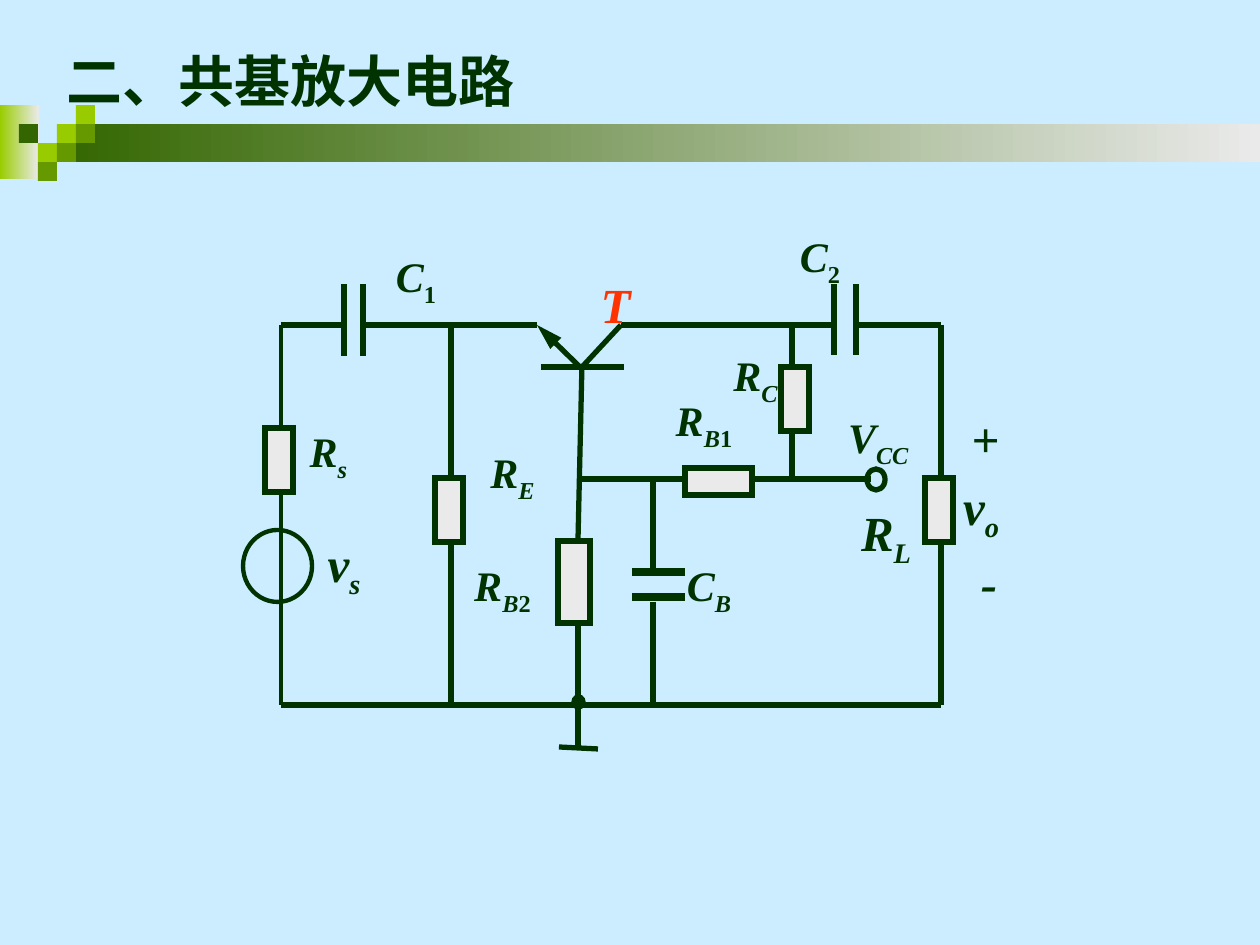
from dataclasses import dataclass
from typing import NamedTuple

from lxml.etree import SubElement
from pptx import Presentation
from pptx.dml.color import RGBColor
from pptx.enum.shapes import MSO_CONNECTOR, MSO_SHAPE
from pptx.enum.text import MSO_ANCHOR, MSO_AUTO_SIZE, PP_ALIGN
from pptx.oxml.ns import qn
from pptx.util import Emu, Pt

PX_PER_INCH = 126
FONT = "Times New Roman"
INK, RED, GRAY, SKY = "003300", "FF3300", "EAEAEA", "CCECFF"
LIME, GREEN, FOREST = "99CC00", "669900", "336600"
LEFT, RIGHT, TOP, BASE, BOTTOM = 281, 941, 325, 479, 705  # main rails


class Box(NamedTuple):
    x: int
    y: int
    width: int
    height: int


@dataclass
class Wire:
    x1: int
    y1: int
    x2: int
    y2: int
    weight: float = 3
    arrow: bool = False


@dataclass
class Label:
    symbol: str
    box: Box
    letters: str = ""
    digits: str = ""
    size: int = 24
    color: str = INK
    align: PP_ALIGN = PP_ALIGN.CENTER


def px(value: int) -> Emu:
    return Emu(round(value * 914400 / PX_PER_INCH))


def rgb(value: str) -> RGBColor:
    return RGBColor.from_string(value)


def add_text(paragraph, text: str, *, size: int, color: str = INK,
             italic: bool = False, subscript: bool = False) -> None:
    run = paragraph.add_run()
    run.text = text
    font = run.font
    font.name, font.size, font.bold, font.italic = FONT, Pt(size), True, italic
    font.color.rgb = rgb(color)
    if subscript:
        run._r.get_or_add_rPr().set("baseline", "-25000")


def add_figure(slide, kind: MSO_SHAPE, box: Box, fill: str = "",
               fade_to: str = "", weight: float = 0) -> None:
    """Draw a preset shape; no fill colour leaves it hollow, no weight unlined."""
    shape = slide.shapes.add_shape(kind, *map(px, box))
    shape.shadow.inherit = False
    if fade_to:
        shape.fill.gradient()
        shape.fill.gradient_angle = 0
        for stop, color in zip(shape.fill.gradient_stops, (fill, fade_to)):
            stop.color.rgb = rgb(color)
    elif fill:
        shape.fill.solid()
        shape.fill.fore_color.rgb = rgb(fill)
    else:
        shape.fill.background()
    if weight:
        shape.line.color.rgb = rgb(INK)
        shape.line.width = Pt(weight)
        SubElement(shape.line._get_or_add_ln(), qn("a:miter"), lim="800000")
    else:
        shape.line.fill.background()


def add_wire(slide, wire: Wire) -> None:
    connector = slide.shapes.add_connector(
        MSO_CONNECTOR.STRAIGHT, *map(px, (wire.x1, wire.y1, wire.x2, wire.y2)))
    connector.line.color.rgb = rgb(INK)
    connector.line.width = Pt(wire.weight)
    if wire.arrow:
        SubElement(connector.line._get_or_add_ln(), qn("a:tailEnd"),
                   type="triangle", w="med", len="lg")
    SubElement(connector._element.spPr, qn("a:effectLst"))


def add_label(slide, label: Label) -> None:
    frame = slide.shapes.add_textbox(*map(px, label.box)).text_frame
    frame.word_wrap = True
    frame.margin_left = frame.margin_right = 0
    frame.vertical_anchor = MSO_ANCHOR.MIDDLE
    paragraph = frame.paragraphs[0]
    paragraph.alignment = label.align
    style = {"size": label.size, "color": label.color}
    add_text(paragraph, label.symbol, italic=True, **style)
    if label.letters:
        add_text(paragraph, label.letters, italic=True, subscript=True, **style)
    if label.digits:
        add_text(paragraph, label.digits, subscript=True, **style)


def add_banner(slide) -> None:
    rect = MSO_SHAPE.RECTANGLE
    add_figure(slide, rect, Box(0, 105, 39, 74), LIME, fade_to=GRAY)
    add_figure(slide, rect, Box(57, 124, 1203, 38), FOREST, fade_to=GRAY)
    side = 19
    tiles = [(1, 1, LIME), (2, 0, LIME), (2, 1, GREEN), (0, 2, LIME),
             (-1, 1, FOREST), (1, 2, GREEN), (0, 3, GREEN)]
    for column, row, color in tiles:
        box = Box(38 + column * side, 105 + row * side, side, side)
        add_figure(slide, rect, box, color)


def add_title(slide, text: str) -> None:
    title = slide.shapes.title
    title.left, title.top, title.width, title.height = map(px, (54, 26, 1124, 109))
    frame = title.text_frame
    frame.auto_size = MSO_AUTO_SIZE.NONE
    frame.vertical_anchor = MSO_ANCHOR.MIDDLE
    paragraph = frame.paragraphs[0]
    paragraph.alignment = PP_ALIGN.LEFT
    add_text(paragraph, text, size=32)


WIRES = [
    # source loop and C1
    Wire(LEFT, BOTTOM, LEFT, TOP, weight=2.5),
    Wire(LEFT, TOP, 342, TOP),
    Wire(344, 284, 344, 356),
    Wire(363, 284, 363, 356),
    Wire(365, TOP, 537, TOP),
    Wire(451, TOP, 451, BOTTOM),
    # transistor
    Wire(541, 367, 624, 367),
    Wire(582, 367, 621, TOP),
    Wire(580, 367, 537, TOP, arrow=True),
    Wire(582, 364, 578, 541),
    # collector side and C2
    Wire(621, TOP, 834, TOP),
    Wire(834, 284, 834, 355),
    Wire(856, 284, 856, 355),
    Wire(856, TOP, RIGHT, TOP),
    Wire(RIGHT, TOP, RIGHT, BOTTOM),
    Wire(792, TOP, 792, BASE),
    # base bias and CB
    Wire(578, BASE, 685, BASE),
    Wire(750, BASE, 871, BASE),
    Wire(653, BASE, 653, 572),
    Wire(632, 572, 685, 572, weight=4.5),
    Wire(632, 597, 685, 597, weight=4.5),
    Wire(653, 602, 653, BOTTOM),
    # ground
    Wire(LEFT, BOTTOM, RIGHT, BOTTOM),
    Wire(578, 622, 578, 749),
    Wire(559, 747, 598, 749),
]

RESISTORS = [
    *(Box(x, y, 28, 64) for x, y in [(265, 428), (435, 478), (781, 367), (925, 478)]),
    Box(558, 541, 32, 82),
    Box(685, 468, 67, 27),
]

LABELS = [
    Label("R", Box(297, 419, 63, 71), "s"),
    Label("v", Box(315, 527, 58, 79), "s", size=28),
    Label("C", Box(383, 244, 66, 71), digits="1"),
    Label("C", Box(787, 224, 66, 71), digits="2"),
    Label("R", Box(721, 343, 69, 71), "C"),
    Label("R", Box(663, 388, 82, 71), "B", "1"),
    Label("R", Box(451, 553, 103, 71), "B", "2"),
    Label("C", Box(687, 553, 77, 71), "B", align=PP_ALIGN.LEFT),
    Label("R", Box(478, 440, 69, 71), "E"),
    Label("R", Box(849, 496, 74, 79), "L", size=28),
    Label("V", Box(848, 405, 70, 71), "CC", align=PP_ALIGN.LEFT),
    Label("v", Box(945, 470, 72, 79), "o", size=28),
    Label("+", Box(959, 402, 53, 72), size=28),
    Label("-", Box(968, 546, 42, 72), size=28),
    Label("T", Box(552, 268, 127, 72), size=28, color=RED),
]


def main() -> None:
    presentation = Presentation()
    presentation.slide_width, presentation.slide_height = px(1260), px(945)
    slide = presentation.slides.add_slide(presentation.slide_layouts[5])
    slide.background.fill.solid()
    slide.background.fill.fore_color.rgb = rgb(SKY)

    add_banner(slide)
    add_title(slide, "二、共基放大电路")
    for wire in WIRES:
        add_wire(slide, wire)
    for resistor in RESISTORS:
        add_figure(slide, MSO_SHAPE.RECTANGLE, resistor, GRAY, weight=3)
    add_figure(slide, MSO_SHAPE.OVAL, Box(243, 530, 69, 72), weight=2.5)  # source
    add_figure(slide, MSO_SHAPE.OVAL, Box(867, 469, 18, 21), weight=3)  # supply
    add_figure(slide, MSO_SHAPE.OVAL, Box(574, 697, 9, 10), INK, weight=3)  # node
    for label in LABELS:
        add_label(slide, label)
    presentation.save("out.pptx")


if __name__ == "__main__":
    main()
